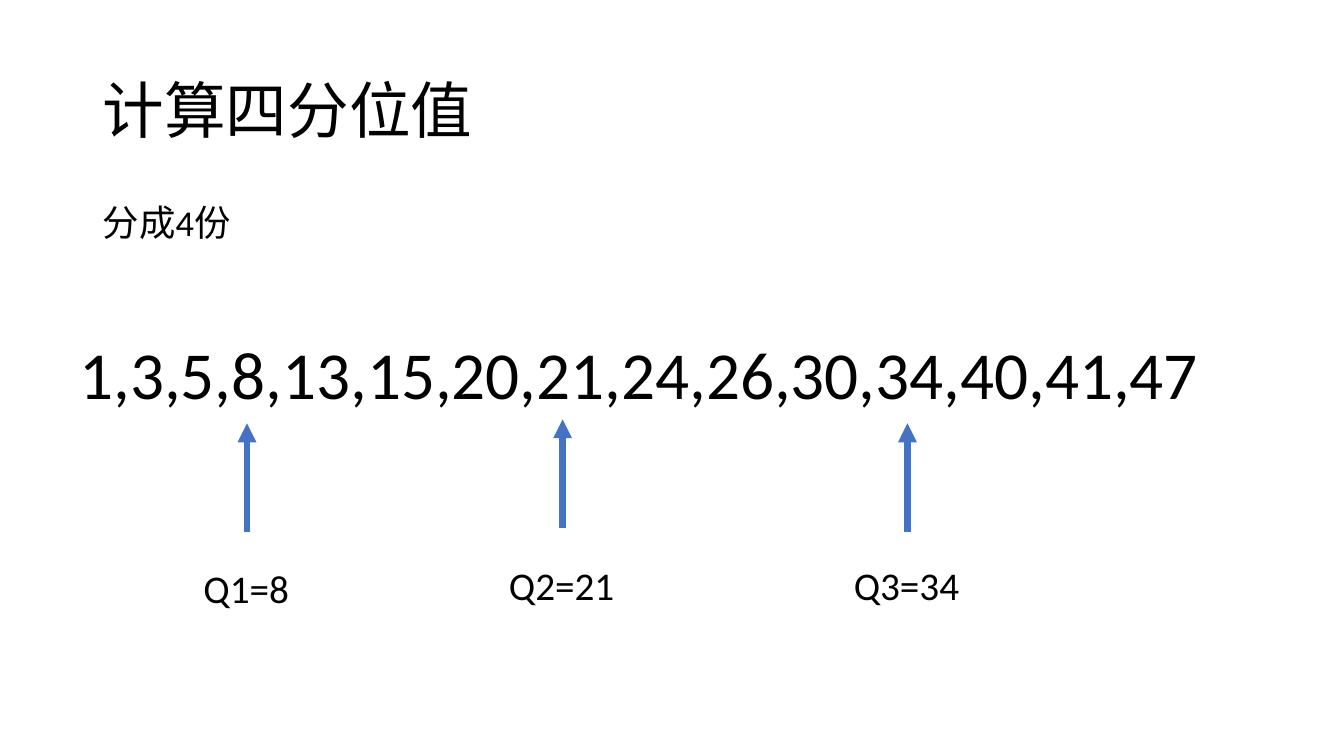
from pptx import Presentation
from pptx.dml.color import RGBColor
from pptx.enum.shapes import MSO_CONNECTOR
from pptx.enum.text import MSO_ANCHOR
from pptx.oxml.ns import qn
from pptx.util import Inches, Pt
from lxml.etree import SubElement

TITLE = "计算四分位值"
SUBTITLE = "分成4份"
VALUES = [1, 3, 5, 8, 13, 15, 20, 21, 24, 26, 30, 34, 40, 41, 47]
QUARTILES = [
    ("Q1=8", 2.45, 4.2, 5.55, 1.06),
    ("Q2=21", 5.58, 4.16, 5.52, 1.26),
    ("Q3=34", 9, 4.2, 5.52, 1.26),
]
ARROW_LENGTH = 1.08
FONT = "Calibri"
BLACK = RGBColor(0x00, 0x00, 0x00)
BLUE = RGBColor(0x44, 0x72, 0xC4)

prs = Presentation()
prs.slide_width, prs.slide_height = Inches(13.33), Inches(7.5)
s = prs.slides.add_slide(prs.slide_layouts[6])


def add_text(text, x, y, w, h, size, wrap=True, anchor=MSO_ANCHOR.TOP, spacing=1.0):
    sp = s.shapes.add_textbox(Inches(x), Inches(y), Inches(w), Inches(h))
    tf = sp.text_frame
    tf.word_wrap = wrap
    tf.vertical_anchor = anchor
    p = tf.paragraphs[0]
    p.line_spacing = spacing
    r = p.add_run()
    r.text = text
    r.font.name = FONT
    r.font.size = Pt(size)
    r.font.color.rgb = BLACK


def add_arrow(x, top):
    sp = s.shapes.add_connector(MSO_CONNECTOR.STRAIGHT, Inches(x),
                                Inches(top + ARROW_LENGTH), Inches(x), Inches(top))
    sp.line.color.rgb = BLUE
    sp.line.width = Pt(4.5)
    SubElement(sp.line._get_or_add_ln(), qn("a:tailEnd"), type="triangle")
    SubElement(sp._element.spPr, qn("a:effectLst"))


add_text(TITLE, 0.92, 0.4, 11.5, 1.45, 44, anchor=MSO_ANCHOR.MIDDLE, spacing=0.9)
add_text(",".join(map(str, VALUES)), 0.69, 3.25, 11.61, 0.91, 48)
add_text(SUBTITLE, 0.92, 1.94, 1.48, 0.54, 26)
for label, x, arrow_top, label_top, width in QUARTILES:
    add_arrow(x, arrow_top)
    add_text(label, x - width / 2, label_top, width, 0.57, 28, wrap=False)

prs.save("out.pptx")
